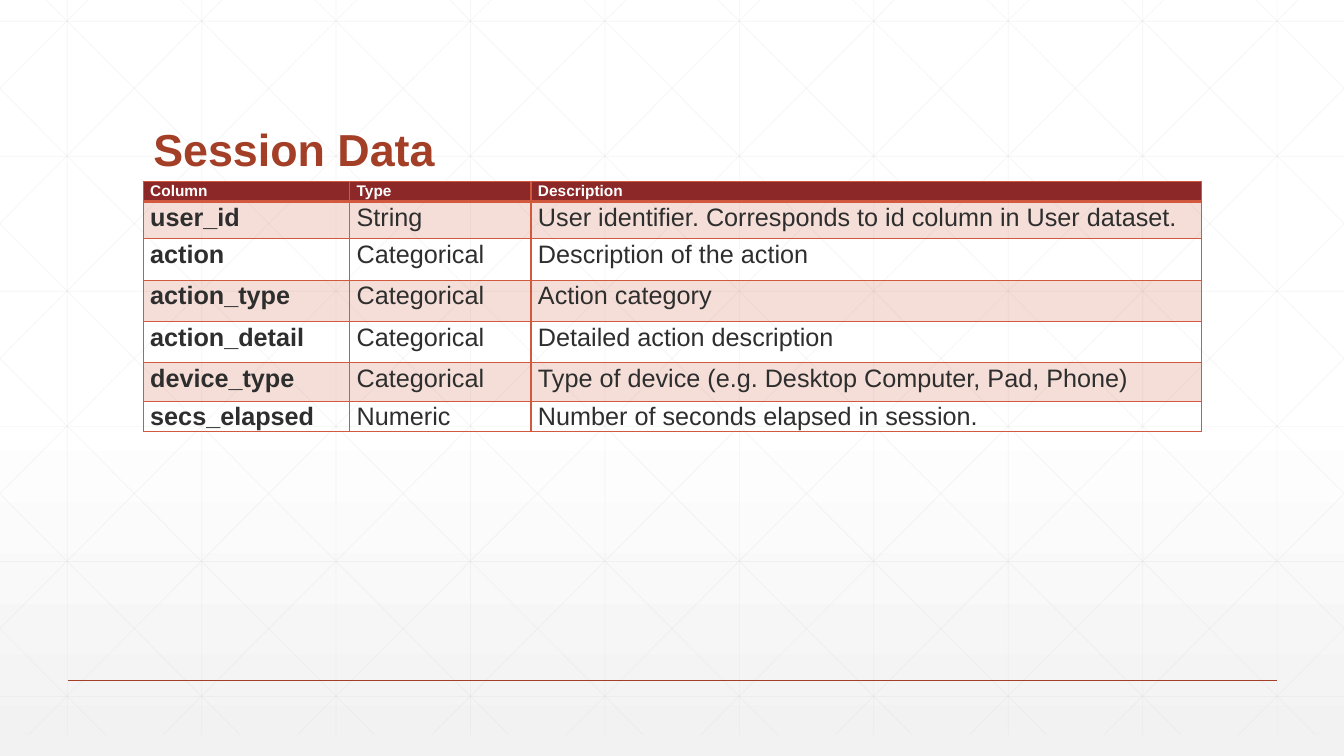
from lxml import etree
from pptx import Presentation, util as u
from pptx.dml.color import RGBColor
from pptx.enum import shapes, text
from pptx.oxml import ns

FONT = "Arial"
RUST, ORANGE, MAROON, INK, GREY = "A43F27", "D15A3E", "8C2828", "2D2E2D", "D9D9D9"
NO_STYLE = "{2D5ABB26-0587-4C30-8999-92F81FD0307C}"
ROWS = [
    ("Column", "Type", "Description"),
    ("user_id", "String", "User identifier. Corresponds to id column in User dataset."),
    ("action", "Categorical", "Description of the action"),
    ("action_type", "Categorical", "Action category"),
    ("action_detail", "Categorical", "Detailed action description"),
    ("device_type", "Categorical", "Type of device (e.g. Desktop Computer, Pad, Phone)"),
    ("secs_elapsed", "Numeric", "Number of seconds elapsed in session."),
]
COL_WIDTHS = (2.05, 1.8, 6.66)
ROW_HEIGHTS = (0.2, 0.37, 0.41, 0.41, 0.41, 0.38, 0.3)


def rgb(color):
    return RGBColor.from_string(color)


def sub(parent, tag, **attrs):
    return etree.SubElement(parent, ns.qn(tag), attrs)


def set_alpha(fill, percent):
    clr = fill._xPr.find(".//" + ns.qn("a:srgbClr"))
    sub(clr, "a:alpha", val=str(percent * 1000))


def format_text(p, size, color, bold, align, spacing):
    p.alignment = align
    p.line_spacing = spacing
    for r in p.runs:
        f = r.font
        f.name, f.size, f.bold = FONT, u.Pt(size), bold
        f.color.rgb = rgb(color)


def add_line(sps, x1, y1, x2, y2, color, width, alpha=100):
    ln = sps.add_connector(shapes.MSO_CONNECTOR.STRAIGHT,
                           *map(u.Inches, (x1, y1, x2, y2)))
    ln.line.color.rgb = rgb(color)
    ln.line.width = u.Pt(width)
    if alpha < 100:
        set_alpha(ln.line.fill, alpha)
    sub(ln._element.spPr, "a:effectLst")


def add_background(s):
    fill = s.background.fill
    fill.gradient()
    fill.gradient_angle = 270
    stops = s.element.find(".//" + ns.qn("a:gsLst"))
    for old in list(stops):
        stops.remove(old)
    for pos, color in ((0, "FFFFFF"), (53, "FFFFFF"), (100, "F2F2F2")):
        sub(sub(stops, "a:gs", pos=str(pos * 1000)), "a:srgbClr", val=color)


def add_lattice(s, x, y, w, h):
    sps = s.shapes.add_group_shape().shapes
    step = 4 / 3
    slope = 1.005
    right, bottom = x + w, y + h

    def lattice_line(*ends):
        add_line(sps, *ends, GREY, 0.5, 25)

    for i in range(10):
        cx = x + step * (i + 0.5)
        lattice_line(cx, y, cx, bottom)
    for i in range(6):
        cy = y + 0.42 + 1.34 * i
        lattice_line(x, cy, right, cy)
    for i in range(-5, 10):
        top_x = x + 0.25 + step * i
        x1 = max(x, top_x)
        x2 = min(right, top_x + h / slope)
        y1, y2 = (y + (cx - top_x) * slope for cx in (x1, x2))
        lattice_line(x1, y1, x2, y2)
        lattice_line(x + right - x1, y1, x + right - x2, y2)


def add_title(s, x, y, w, h):
    sp = s.shapes.title
    s.shapes._spTree.append(sp._element)
    sp.left, sp.top, sp.width, sp.height = map(u.Inches, (x, y, w, h))
    tf = sp.text_frame
    tf.text = "Session Data"
    tf.word_wrap = True
    tf.auto_size = text.MSO_AUTO_SIZE.NONE
    tf.vertical_anchor = text.MSO_ANCHOR.BOTTOM
    format_text(tf.paragraphs[0], 32, RUST, True, text.PP_ALIGN.LEFT, 0.9)


def set_borders(cell, widths):
    tcPr = cell._tc.get_or_add_tcPr()
    for i, (side, width) in enumerate(widths.items()):
        ln = sub(tcPr, "a:ln" + side, w=str(u.Pt(width)))
        sub(sub(ln, "a:solidFill"), "a:srgbClr", val=ORANGE)
        tcPr.insert(i, ln)


def add_data_table(s, x, y, w, h):
    frame = s.shapes.add_table(len(ROWS), len(COL_WIDTHS),
                               *map(u.Inches, (x, y, w, h)))
    tbl = frame.table
    tbl.first_row = tbl.horz_banding = False
    tbl._tbl.tblPr.find(ns.qn("a:tableStyleId")).text = NO_STYLE
    for col, width in zip(tbl.columns, COL_WIDTHS):
        col.width = u.Inches(width * w / sum(COL_WIDTHS))
    for row, height in zip(tbl.rows, ROW_HEIGHTS):
        row.height = u.Inches(height * h / sum(ROW_HEIGHTS))
    for i, values in enumerate(ROWS):
        header = i == 0
        for j, value in enumerate(values):
            cell = tbl.cell(i, j)
            cell.margin_left = cell.margin_right = u.Inches(0.07)
            cell.margin_top = cell.margin_bottom = 0
            cell.text = value
            format_text(cell.text_frame.paragraphs[0], 11 if header else 18,
                        "FFFFFF" if header else INK, header or j == 0,
                        text.PP_ALIGN.JUSTIFY, 1.07)
            if header or i % 2:
                cell.fill.solid()
                cell.fill.fore_color.rgb = rgb(MAROON if header else ORANGE)
                if not header:
                    set_alpha(cell.fill, 20)
            else:
                cell.fill.background()
            set_borders(cell, {"L": 1, "R": 1, "T": 2 if i == 1 else 1,
                               "B": 2 if header else 1})


def build_table_slide(prs):
    s = prs.slides.add_slide(prs.slide_layouts[5])
    add_background(s)
    add_lattice(s, 0, -0.21, 13.33, 7.5)
    add_line(s.shapes, 0.67, 6.75, 12.67, 6.75, RUST, 1)
    add_title(s, 1.42, 0.55, 10.5, 1.25)
    add_data_table(s, 1.42, 1.8, 10.5, 2.48)


prs = Presentation()
prs.slide_width, prs.slide_height = u.Inches(13.33), u.Inches(7.5)
build_table_slide(prs)
prs.save("out.pptx")
